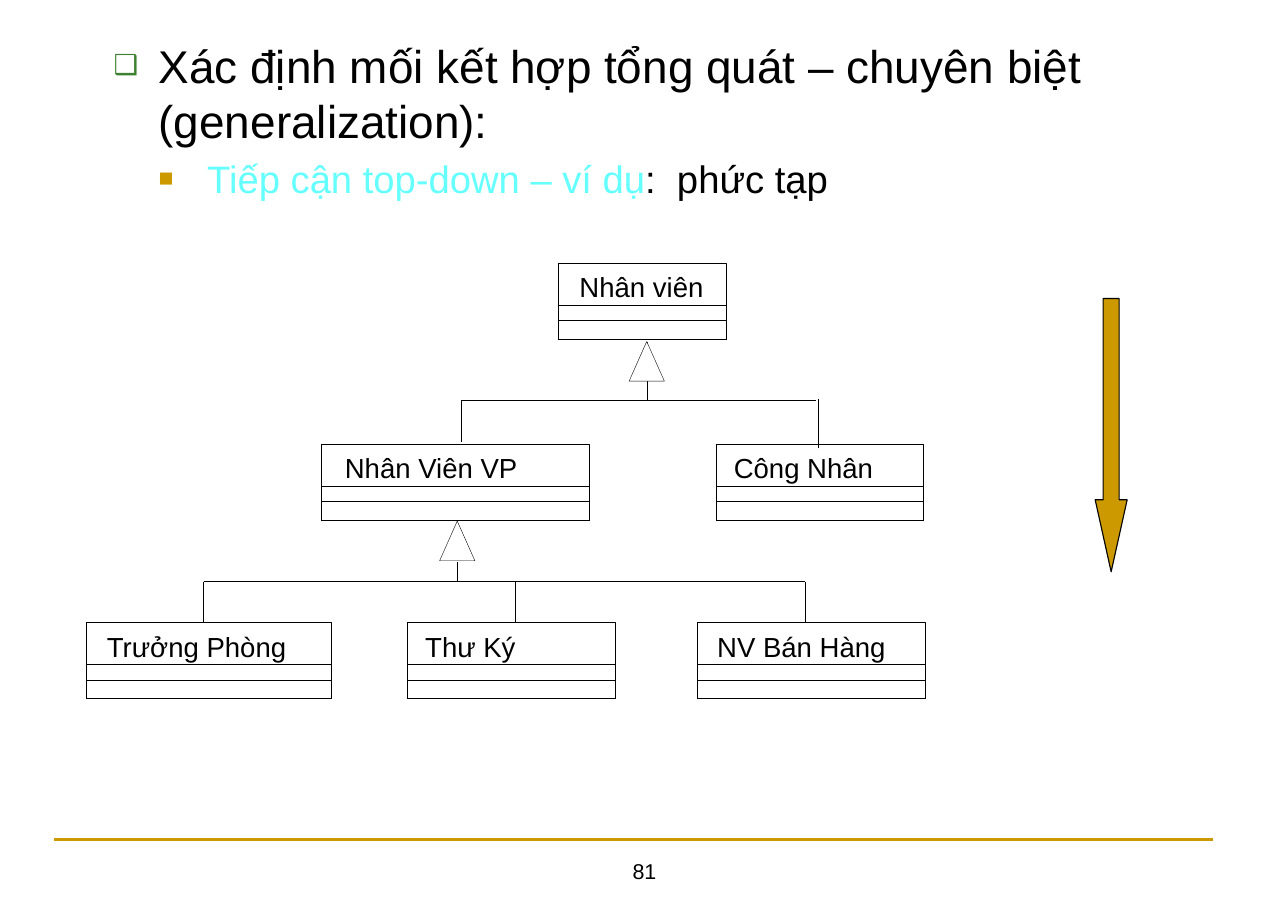
from dataclasses import dataclass

from lxml import etree
from pptx import Presentation
from pptx import util as u
from pptx.dml.color import RGBColor
from pptx.enum import shapes, text
from pptx.oxml import ns


@dataclass(frozen=True)
class Theme:
    font: str = "Arial"
    black: str = "000000"
    white: str = "FFFFFF"
    gold: str = "CC9900"
    green: str = "3B812F"
    cyan: str = "66FFFF"
    heading: int = 30
    subheading: int = 25
    label: int = 18
    page: int = 14
    hairline: float = 0.25
    thin: float = 0.75
    rule: float = 1.5


theme = Theme()
CELL = u.Inches(0.1)  # the slide is a grid of 116.9 columns by 82.6 rows

deck = Presentation()
deck.slide_width, deck.slide_height = int(116.9 * CELL), int(82.6 * CELL)
slide = deck.slides.add_slide(deck.slide_layouts[1])
slide.shapes.title.element.getparent().remove(slide.shapes.title.element)


def cells(*counts):
    return [int(count * CELL) for count in counts]


def stroke(item, weight, color=theme.black, fill=None):
    """Set the outline, the optional fill and no shadow."""
    item.line.color.rgb = RGBColor.from_string(color)
    item.line.width = u.Pt(weight)
    if isinstance(item.shape_type, shapes.MSO_SHAPE_TYPE) and hasattr(item, "shadow"):
        item.shadow.inherit = False
    else:
        etree.SubElement(item.element.spPr, ns.qn("a:effectLst"))
    if fill:
        item.fill.solid()
        item.fill.fore_color.rgb = RGBColor.from_string(fill)
    elif hasattr(item, "fill"):
        item.fill.background()


# Outline text
outline = slide.placeholders[1]
outline.left, outline.top, outline.width, outline.height = cells(4.9, 2.8, 105.3, 17.4)
frame = outline.text_frame
frame.auto_size = text.MSO_AUTO_SIZE.NONE
frame.margin_left = frame.margin_right = u.Inches(0.11)
frame.margin_top = frame.margin_bottom = u.Inches(0.06)

points = [
    (1, 0.84, -0.41, "❑", theme.green, 60, theme.heading,
     [("Xác định mối kết hợp tổng quát – chuyên biệt (generalization):", theme.black)]),
    (2, 1.28, -0.44, "■", theme.gold, 65, theme.subheading,
     [("Tiếp cận top-down – ví dụ", theme.cyan), (":  phức tạp", theme.black)]),
]
for number, (level, margin, indent, mark, mark_color, mark_size, size, parts) in enumerate(points):
    point = frame.add_paragraph() if number else frame.paragraphs[0]
    point.level = level
    for wording, color in parts:
        run = point.add_run()
        run.text = wording
        run.font.name, run.font.size = theme.font, u.Pt(size)
        run.font.color.rgb = RGBColor.from_string(color)
    props = point._p.get_or_add_pPr()
    props.set("marL", str(u.Inches(margin)))
    props.set("indent", str(u.Inches(indent)))
    before = etree.SubElement(props, ns.qn("a:spcBef"))
    etree.SubElement(before, ns.qn("a:spcPct"), val="20000")
    bullet_color = etree.SubElement(props, ns.qn("a:buClr"))
    etree.SubElement(bullet_color, ns.qn("a:srgbClr"), val=mark_color)
    etree.SubElement(props, ns.qn("a:buSzPct"), val=str(mark_size * 1000))
    etree.SubElement(props, ns.qn("a:buFont"), typeface=theme.font)
    etree.SubElement(props, ns.qn("a:buChar"), char=mark)

# Footer rule, inheritance branches: start column, row, end column, row
lines = [
    (4.9, 76.2, 110.1, 76.2, theme.rule, theme.gold),
    (58.7, 36.4, 58.7, 31, theme.hairline, theme.black),
    (41.9, 36.3, 74.1, 36.3, theme.hairline, theme.black),
    (41.9, 40.1, 41.9, 36.3, theme.hairline, theme.black),
    (74.3, 40.7, 74.3, 36.2, theme.hairline, theme.black),
    (41.5, 51, 41.5, 52.8, theme.thin, theme.black),
    (18.5, 52.8, 73.1, 52.8, theme.thin, theme.black),
]
lines += [(column, 52.8, column, 56.5, theme.thin, theme.black) for column in (18.5, 46.8, 73.1)]
for *ends, weight, color in lines:
    branch = slide.shapes.add_connector(shapes.MSO_CONNECTOR.STRAIGHT, *cells(*ends))
    stroke(branch, weight, color)

# Generalization arrowheads
for tip, row in [(58.7, 31), (41.5, 47.3)]:
    builder = slide.shapes.build_freeform(*cells(tip, row))
    base = [(tip + 1.6, row + 3.6), (tip - 1.6, row + 3.6)]
    builder.add_line_segments([cells(*corner) for corner in base], close=True)
    stroke(builder.convert_to_shape(), theme.hairline, fill=theme.white)

# Classes: name, left, top, width, label column, label width
classes = [
    ("Nhân viên", 50.7, 23.9, 15.2, 52.6, 11.4),
    ("Nhân Viên VP", 29.2, 40.3, 24.3, 31.3, 15.8),
    ("Công Nhân", 65, 40.3, 18.8, 66.6, 12.8),
    ("Trưởng Phòng", 7.8, 56.5, 22.3, 9.7, 16.4),
    ("Thư Ký", 37, 56.5, 18.8, 38.6, 8.3),
    ("NV Bán Hàng", 63.3, 56.5, 20.7, 65.1, 15.4),
]
labels = [("81", 40, 75.3, 37, 5.5, theme.page)]
for name, left, top, width, label_left, label_width in classes:
    for offset in (0, 3.8, 5.2):
        section = slide.shapes.add_shape(
            shapes.MSO_SHAPE.RECTANGLE, *cells(left, top + offset, width, 6.9 - offset))
        stroke(section, theme.hairline)
    labels.append((name, label_left, top + 0.65, label_width, 3, theme.label))

# Class names and page number
for wording, left, top, width, height, size in labels:
    label = slide.shapes.add_textbox(*cells(left, top, width, height)).text_frame
    label.text = wording
    label.paragraphs[0].runs[0].font.name = theme.font
    label.paragraphs[0].runs[0].font.size = u.Pt(size)
    label.paragraphs[0].runs[0].font.color.rgb = RGBColor.from_string(theme.black)
    is_page = size == theme.page
    label.word_wrap = is_page
    label.margin_left = label.margin_right = u.Inches(0.11 if is_page else 0)
    label.margin_top = label.margin_bottom = u.Inches(0.06 if is_page else 0)
    if is_page:
        label.vertical_anchor = text.MSO_ANCHOR.BOTTOM
        label.paragraphs[0].alignment = text.PP_ALIGN.CENTER
    else:
        label.auto_size = text.MSO_AUTO_SIZE.SHAPE_TO_FIT_TEXT

# Top-down direction
direction = slide.shapes.add_shape(shapes.MSO_SHAPE.DOWN_ARROW, *cells(99.4, 27.1, 2.9, 24.8))
direction.adjustments[0], direction.adjustments[1] = 0.5, 2.25
stroke(direction, theme.thin, fill=theme.gold)

deck.save("out.pptx")
